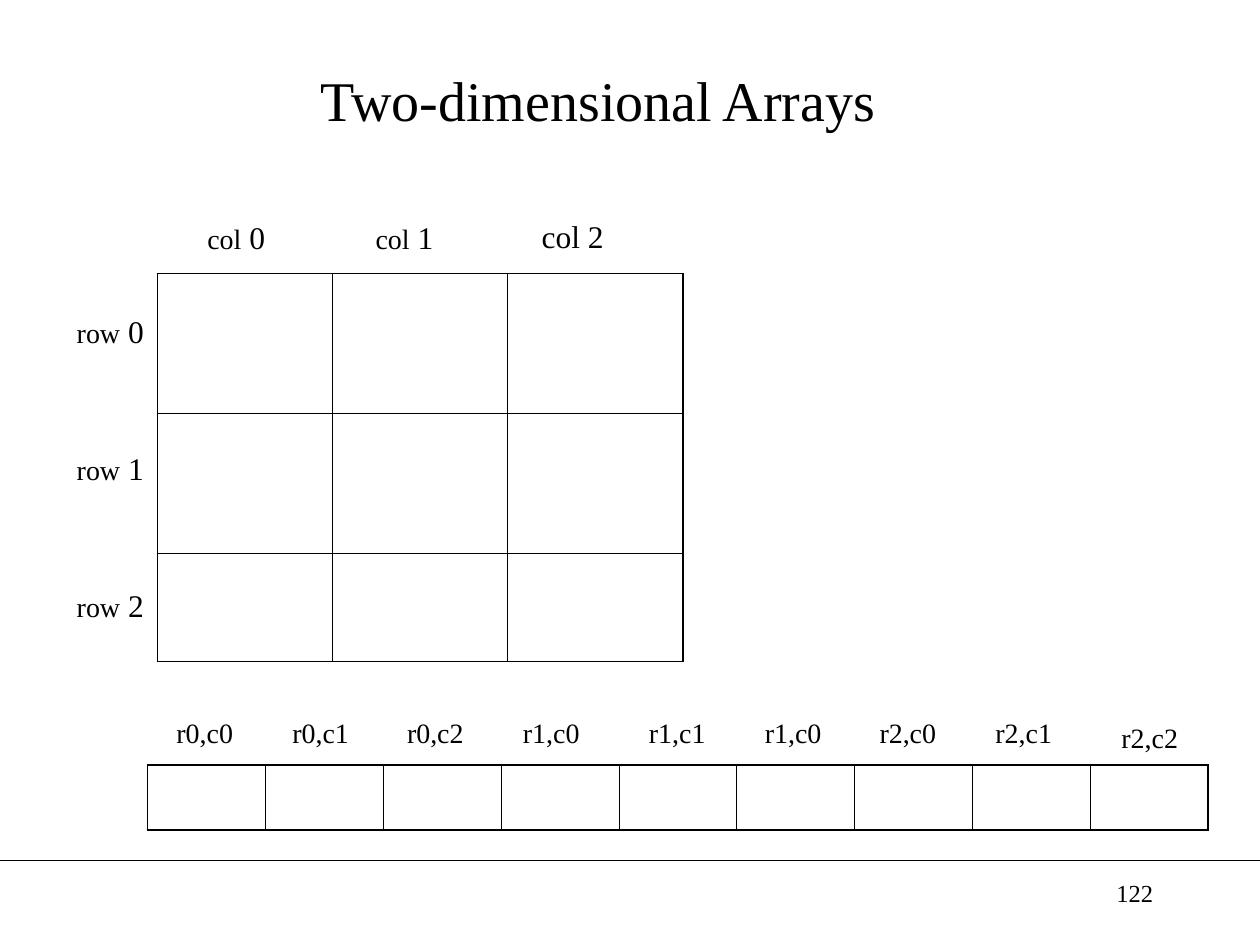
from pptx import Presentation
from pptx.dml.color import RGBColor
from pptx.enum.shapes import MSO_CONNECTOR
from pptx.enum.text import MSO_ANCHOR, PP_ALIGN
from pptx.oxml import parse_xml
from pptx.oxml.ns import nsdecls
from pptx.util import Inches, Pt

FONT, BLACK = "Times New Roman", "000000"
OUTER, INNER = 1.08, 0.45


def add_text(tf, runs, align):
    """Fill a text frame with one paragraph of (text, size) runs."""
    tf.word_wrap = True
    p = tf.paragraphs[0]
    p.alignment = align
    p.font.name = FONT
    p.font.color.rgb = RGBColor.from_string(BLACK)
    for text, size in runs:
        r = p.add_run()
        r.text = text
        r.font.size = Pt(size)


def add_grid(left, top, col_widths, row_heights):
    """Add an empty unfilled table with a heavier outer border."""
    rows, cols = len(row_heights), len(col_widths)
    table = s.shapes.add_table(rows, cols, Inches(left), Inches(top),
                               Inches(sum(col_widths)), Inches(sum(row_heights))).table
    table.first_row = table.horz_banding = False
    for column, width in zip(table.columns, col_widths):
        column.width = Inches(width)
    for row, height in zip(table.rows, row_heights):
        row.height = Inches(height)
    for i in range(rows):
        for j in range(cols):
            cell = table.cell(i, j)
            tcPr = cell._tc.get_or_add_tcPr()
            on_edge = {"L": j == 0, "R": j == cols - 1, "T": i == 0, "B": i == rows - 1}
            for side, outer in on_edge.items():
                width = Pt(OUTER if outer else INNER)
                tcPr.append(parse_xml(
                    f'<a:ln{side} {nsdecls("a")} w="{width}"><a:solidFill>'
                    f'<a:srgbClr val="{BLACK}"/></a:solidFill></a:ln{side}>'))
            cell.fill.background()


prs = Presentation()
prs.slide_width, prs.slide_height = Inches(10), Inches(7.5)
s = prs.slides.add_slide(prs.slide_layouts[5])

rule = s.shapes.add_connector(MSO_CONNECTOR.STRAIGHT, 0, Inches(6.83), Inches(10), Inches(6.83))
rule.line.width = Pt(0.75)
rule.line.color.rgb = RGBColor.from_string(BLACK)
rule._element.spPr.append(parse_xml(f'<a:effectLst {nsdecls("a")}/>'))

title = s.shapes.title
title.left, title.top = Inches(0.5), Inches(0.25)
title.width, title.height = Inches(8.5), Inches(1.08)
title.text_frame.vertical_anchor = MSO_ANCHOR.MIDDLE
add_text(title.text_frame, [("Two-dimensional Arrays", 32)], PP_ALIGN.CENTER)

add_grid(1.25, 2.17, [1.39] * 3, [1.11, 1.11, 0.86])
add_grid(1.17, 6.07, [8.42 / 9] * 9, [0.52])

# Labels: left, top, height, runs
labels = []
for i in range(3):
    labels.append((0.5, 2.43 + 1.085 * i, 0.4, [("row", 16), (f" {i}", 18)]))
for i, word_size in enumerate([16, 16, 18]):
    top = 1.67 if i == 2 else 1.68
    labels.append((1.5 + 1.335 * i, top, 0.4, [("col", word_size), (f" {i}", 18)]))

names = ["r0,c0", "r0,c1", "r0,c2", "r1,c0", "r1,c1", "r1,c0", "r2,c0", "r2,c1", "r2,c2"]
lefts = [1.25, 2.17, 3.08, 4, 5, 5.92, 6.83, 7.75, 8.75]
for name, left in zip(names, lefts):
    labels.append((left, 5.67 if name == "r2,c2" else 5.63, 0.37, [(name, 16)]))

for left, top, height, runs in labels:
    box = s.shapes.add_textbox(Inches(left), Inches(top), Inches(0.75), Inches(height))
    add_text(box.text_frame, runs, PP_ALIGN.CENTER)

number = s.shapes.add_textbox(Inches(7.17), Inches(6.92), Inches(2.08), Inches(0.5))
add_text(number.text_frame, [("122", 14)], PP_ALIGN.RIGHT)

prs.save("out.pptx")
